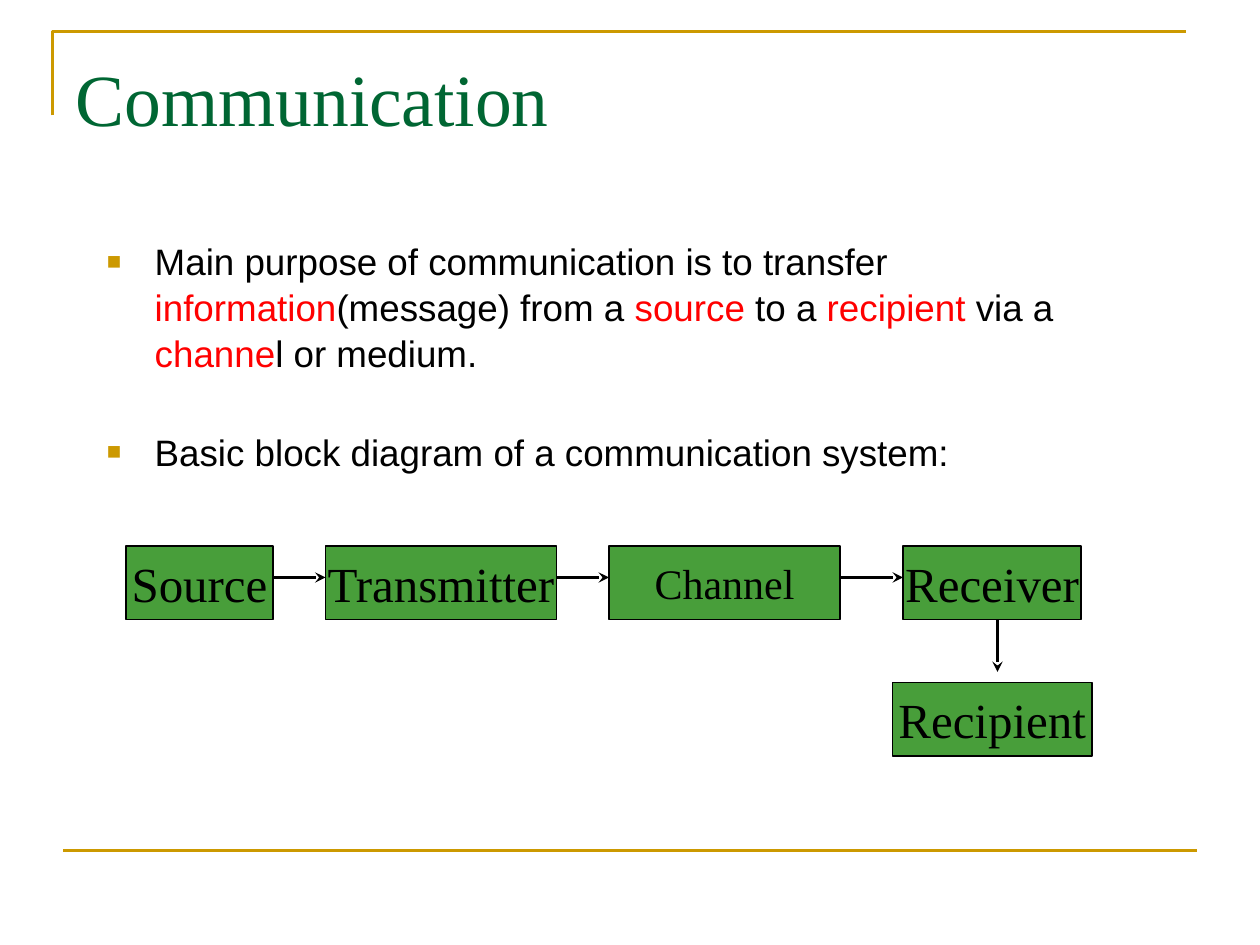
import dataclasses

import pptx
import pptx.dml.color
import pptx.enum.shapes
import pptx.enum.text
import pptx.oxml.ns
import pptx.util
from lxml import etree


@dataclasses.dataclass(frozen=True)
class Theme:
    accent: str = "CC9900"
    heading: str = "006633"
    ink: str = "000000"
    highlight: str = "FF0000"
    block: str = "489E3A"
    serif: str = "Times New Roman"
    sans: str = "Arial"
    title_size: float = 42
    body_size: float = 21
    block_size: float = 28
    channel_size: float = 24
    rule_width: float = 1.5
    border_width: float = 1
    arrow_width: float = 2


def rgb(value):
    return pptx.dml.color.RGBColor.from_string(value)


def grid(cells):
    return pptx.util.Inches(cells / 12)


def write(para, text, *, font, size, color):
    span = para.add_run()
    span.text = text
    span.font.name = font
    span.font.size = pptx.util.Pt(size)
    span.font.color.rgb = rgb(color)


def add_element(parent, tag, **attributes):
    return etree.SubElement(parent, pptx.oxml.ns.qn(tag), **attributes)


class SlideBuilder:
    def __init__(self, deck, theme):
        self.theme = theme
        self.slide = deck.slides.add_slide(deck.slide_layouts[5])
        self.shapes = self.slide.shapes

    def title(self, text, left, top, width, height):
        box = self.shapes.title
        box.left, box.top, box.width, box.height = map(grid, (left, top, width, height))
        frame = box.text_frame
        frame.vertical_anchor = pptx.enum.text.MSO_ANCHOR.TOP
        frame.margin_top = pptx.util.Inches(0.12)
        para = frame.paragraphs[0]
        para.alignment = pptx.enum.text.PP_ALIGN.LEFT
        write(para, text, font=self.theme.serif, size=self.theme.title_size, color=self.theme.heading)

    def corner(self, points):
        start, *others = [(grid(x), grid(y)) for x, y in points]
        builder = self.shapes.build_freeform(*start)
        builder.add_line_segments(others, close=False)
        shape = builder.convert_to_shape()
        shape.shadow.inherit = False
        shape.fill.background()
        self.outline(shape, self.theme.accent, self.theme.rule_width)

    def outline(self, shape, color, width):
        shape.line.color.rgb = rgb(color)
        shape.line.width = pptx.util.Pt(width)

    def line(self, start, end, color, width):
        connector = self.shapes.add_connector(
            pptx.enum.shapes.MSO_CONNECTOR.STRAIGHT, *map(grid, (*start, *end)))
        self.outline(connector, color, width)
        add_element(connector._element.spPr, "a:effectLst")
        return connector

    def arrow(self, start, end):
        connector = self.line(start, end, self.theme.ink, self.theme.arrow_width)
        add_element(connector.line._get_or_add_ln(), "a:tailEnd", type="stealth")

    def bullets(self, items, left, top, width, height):
        frame = self.shapes.add_textbox(*map(grid, (left, top, width, height))).text_frame
        frame.word_wrap = True
        for index, item in enumerate(items):
            para = frame.add_paragraph() if index else frame.paragraphs[0]
            para.line_spacing = 1.04
            para.space_before = pptx.util.Pt(30.3 if index else 0)
            self.bullet(para)
            for position, text in enumerate(item):
                color = self.theme.highlight if position % 2 else self.theme.ink
                write(para, text, font=self.theme.sans, size=self.theme.body_size, color=color)

    def bullet(self, para):
        properties = para._p.get_or_add_pPr()
        indent = pptx.util.Inches(0.38)
        properties.set("marL", str(indent))
        properties.set("indent", str(-indent))
        color = add_element(properties, "a:buClr")
        add_element(color, "a:srgbClr", val=self.theme.accent)
        add_element(properties, "a:buSzPct", val="65000")
        add_element(properties, "a:buFont", typeface=self.theme.sans)
        add_element(properties, "a:buChar", char="■")

    def block(self, text, left, top, width, height, size):
        shape = self.shapes.add_shape(
            pptx.enum.shapes.MSO_SHAPE.RECTANGLE, *map(grid, (left, top, width, height)))
        shape.shadow.inherit = False
        shape.fill.solid()
        shape.fill.fore_color.rgb = rgb(self.theme.block)
        self.outline(shape, self.theme.ink, self.theme.border_width)
        frame = shape.text_frame
        frame.word_wrap = False
        frame.vertical_anchor = pptx.enum.text.MSO_ANCHOR.MIDDLE
        para = frame.paragraphs[0]
        para.alignment = pptx.enum.text.PP_ALIGN.CENTER
        write(para, text, font=self.theme.serif, size=size, color=self.theme.ink)


def main():
    theme = Theme()
    deck = pptx.Presentation()
    deck.slide_width, deck.slide_height = grid(120), grid(90)
    page = SlideBuilder(deck, theme)

    page.corner([(5, 11), (5, 3), (113, 3)])
    page.line((6, 81), (114, 81), theme.accent, theme.rule_width)
    page.title("Communication", 6, 3.6, 108, 15)
    page.bullets([
        ["Main purpose of communication is to transfer ", "information",
         "(message) from a ", "source", " to a ", "recipient", " via a ",
         "channe", "l or medium."],
        ["Basic block diagram of a communication system:"],
    ], 9, 22, 102, 54)

    row, height, arrow_row = 52, 7, 55
    chain = [
        ("Source", 12, 14, theme.block_size),
        ("Transmitter", 31, 22, theme.block_size),
        ("Channel", 58, 22, theme.channel_size),
        ("Receiver", 86, 17, theme.block_size),
    ]
    for text, left, width, size in chain:
        page.block(text, left, row, width, height, size)
    page.block("Recipient", 85, 65, 19, height, theme.block_size)

    for (_, left, width, _), (_, target, _, _) in zip(chain, chain[1:]):
        page.arrow((left + width, arrow_row), (target, arrow_row))
    page.arrow((95, row + height), (95, 64))

    deck.save("out.pptx")


if __name__ == "__main__":
    main()
